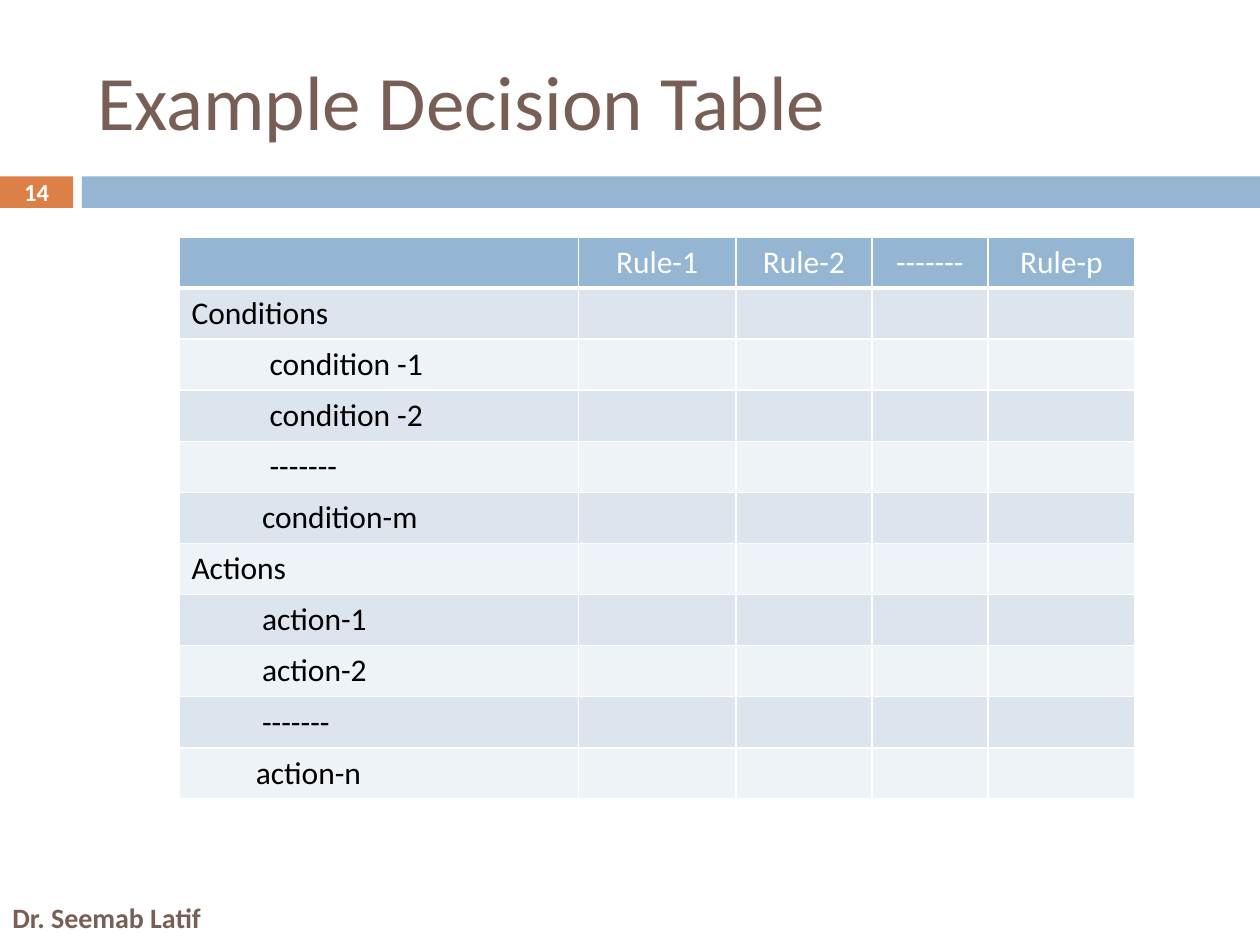
from dataclasses import dataclass
from typing import Any

from lxml import etree
from pptx import Presentation
from pptx.dml.color import RGBColor
from pptx.enum.shapes import MSO_SHAPE
from pptx.enum.text import MSO_ANCHOR, MSO_AUTO_SIZE, PP_ALIGN
from pptx.oxml.ns import qn
from pptx.util import Inches, Pt

RECT = MSO_SHAPE.RECTANGLE
MIDDLE, TOP = MSO_ANCHOR.MIDDLE, MSO_ANCHOR.TOP
LEFT, CENTER = PP_ALIGN.LEFT, PP_ALIGN.CENTER
FIXED = MSO_AUTO_SIZE.NONE

FONT = "Calibri"
BROWN, ORANGE, BLUE = "775F55", "DD8047", "94B6D2"
WHITE, BLACK = "FFFFFF", "000000"
BANDS = ("DCE5EE", "EEF3F7")

HEADS = ("", "Rule-1", "Rule-2", "-------", "Rule-p")
WIDTHS = (3.17, 1.25, 1.08, 0.92, 1.17)
HEIGHT = 0.405
PAD = 0.1


@dataclass
class Bar:
    left: float
    width: float
    color: str


@dataclass
class Label:
    text: str
    box: tuple[float, float, float, float]
    style: dict[str, Any]
    align: Any = LEFT
    anchor: Any = TOP


@dataclass
class Entry:
    text: str
    indent: float = 0


BARS = (Bar(0, 0.58, ORANGE), Bar(0.65, 9.35, BLUE))
TITLE = Label("Example Decision Table", (0.67, 0.25, 8.92, 1.08),
              {"size": Pt(44), "color": BROWN, "bold": False}, anchor=MIDDLE)
LABELS = (
    Label("Dr. Seemab Latif", (0, 7.1, 1.83, 0.4),
          {"size": Pt(16), "color": BROWN, "bold": True}),
    Label("14", (0, 1.39, 0.58, 0.27),
          {"size": Pt(14), "color": WHITE, "bold": True}, CENTER, MIDDLE),
)
ENTRIES = (
    Entry("Conditions"),
    Entry("condition -1", 0.62),
    Entry("condition -2", 0.62),
    Entry("-------", 0.62),
    Entry("condition-m", 0.56),
    Entry("Actions"),
    Entry("action-1", 0.56),
    Entry("action-2", 0.56),
    Entry("-------", 0.56),
    Entry("action-n", 0.51),
)


def rgb(color: str) -> RGBColor:
    return RGBColor.from_string(color)


def format_font(font: Any, style: dict[str, Any]) -> None:
    for name, value in {"name": FONT, **style}.items():
        if name == "color":
            font.color.rgb = rgb(value)
        else:
            setattr(font, name, value)


def draw_bar(slide: Any, bar: Bar) -> None:
    shape = slide.shapes.add_shape(
        RECT, Inches(bar.left), Inches(1.4), Inches(bar.width), Inches(0.25))
    shape.shadow.inherit = False
    shape.fill.solid()
    shape.fill.fore_color.rgb = rgb(bar.color)
    shape.line.fill.background()


def fill_label(shape: Any, label: Label) -> None:
    shape.left, shape.top, shape.width, shape.height = map(Inches, label.box)
    frame = shape.text_frame
    frame.text = label.text
    frame.word_wrap = True
    frame.auto_size = FIXED
    frame.vertical_anchor = label.anchor
    para = frame.paragraphs[0]
    para.alignment = label.align
    format_font(para.runs[0].font, label.style)


def add_border(cell: Any, side: str, width: float) -> None:
    props = cell._tc.get_or_add_tcPr()
    line = etree.SubElement(props, qn(f"a:ln{side}"), w=str(Pt(width)))
    fill = etree.SubElement(line, qn("a:solidFill"))
    etree.SubElement(fill, qn("a:srgbClr"), val=WHITE)


def fill_cell(cell: Any, row: int, text: str, indent: float = 0) -> None:
    head = row == 0
    thick = {0: "B", 1: "T"}.get(row)
    for side in "LRTB":
        add_border(cell, side, 3 if side == thick else 1)
    cell.fill.solid()
    cell.fill.fore_color.rgb = rgb(BLUE if head else BANDS[(row - 1) % 2])
    cell.margin_left = Inches(PAD + indent)
    cell.text = text
    para = cell.text_frame.paragraphs[0]
    para.alignment = CENTER if head else LEFT
    format_font(para.font, {"size": Pt(18), "bold": False,
                            "color": WHITE if head else BLACK})


def draw_table(slide: Any) -> None:
    count = len(ENTRIES) + 1
    table = slide.shapes.add_table(
        count, len(HEADS), Inches(1.42), Inches(1.88),
        Inches(sum(WIDTHS)), Inches(HEIGHT * count)).table
    for col, width in zip(table.columns, WIDTHS):
        col.width = Inches(width)
    for col, text in enumerate(HEADS):
        fill_cell(table.cell(0, col), 0, text)
    for row, entry in enumerate(ENTRIES, 1):
        fill_cell(table.cell(row, 0), row, entry.text, entry.indent)
        for col in range(1, len(HEADS)):
            fill_cell(table.cell(row, col), row, "")


def main() -> None:
    deck = Presentation()
    deck.slide_width, deck.slide_height = Inches(10), Inches(7.5)
    slide = deck.slides.add_slide(deck.slide_layouts[5])
    for bar in BARS:
        draw_bar(slide, bar)
    fill_label(slide.shapes.title, TITLE)
    draw_table(slide)
    for label in LABELS:
        fill_label(slide.shapes.add_textbox(0, 0, 0, 0), label)
    deck.save("out.pptx")


if __name__ == "__main__":
    main()
